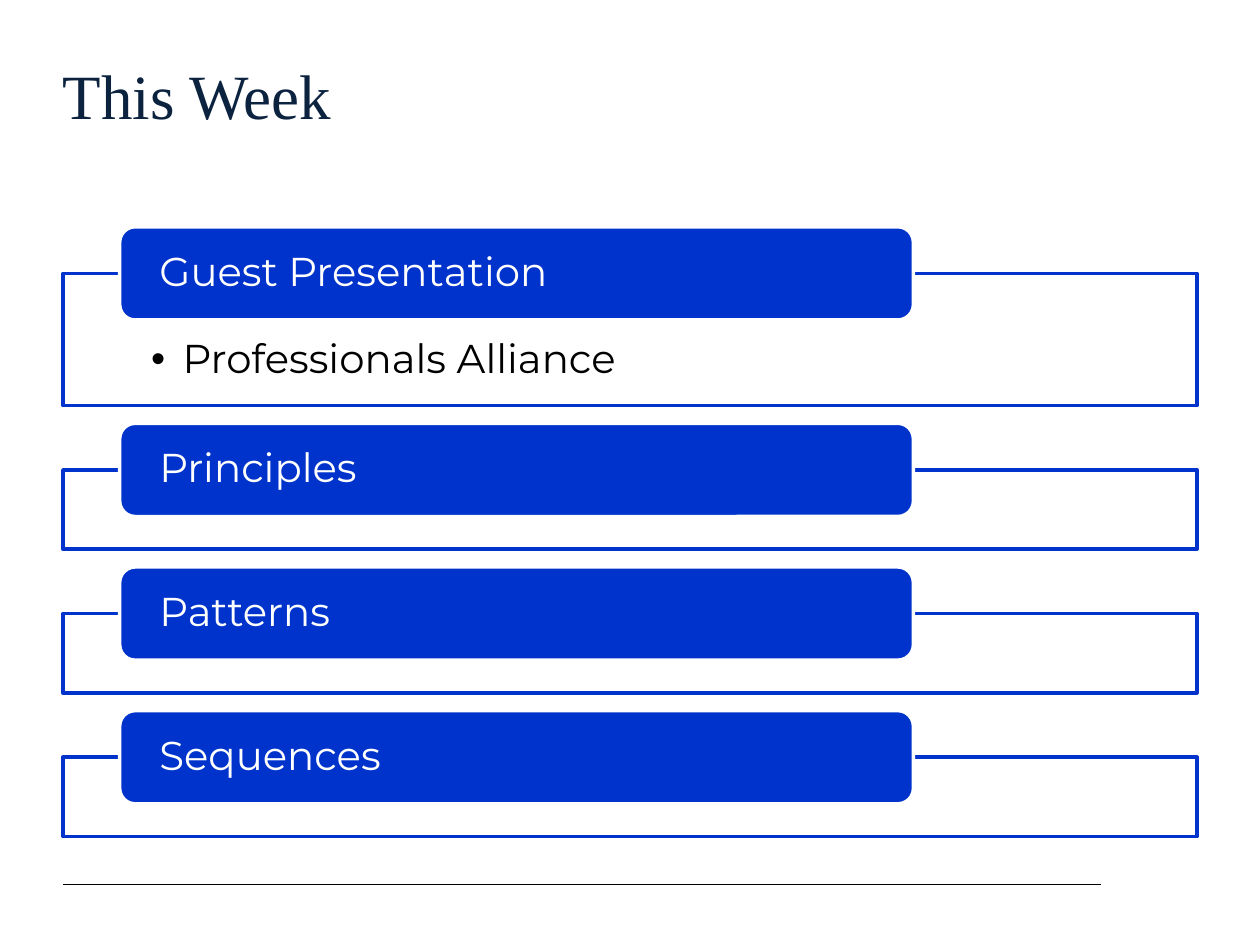
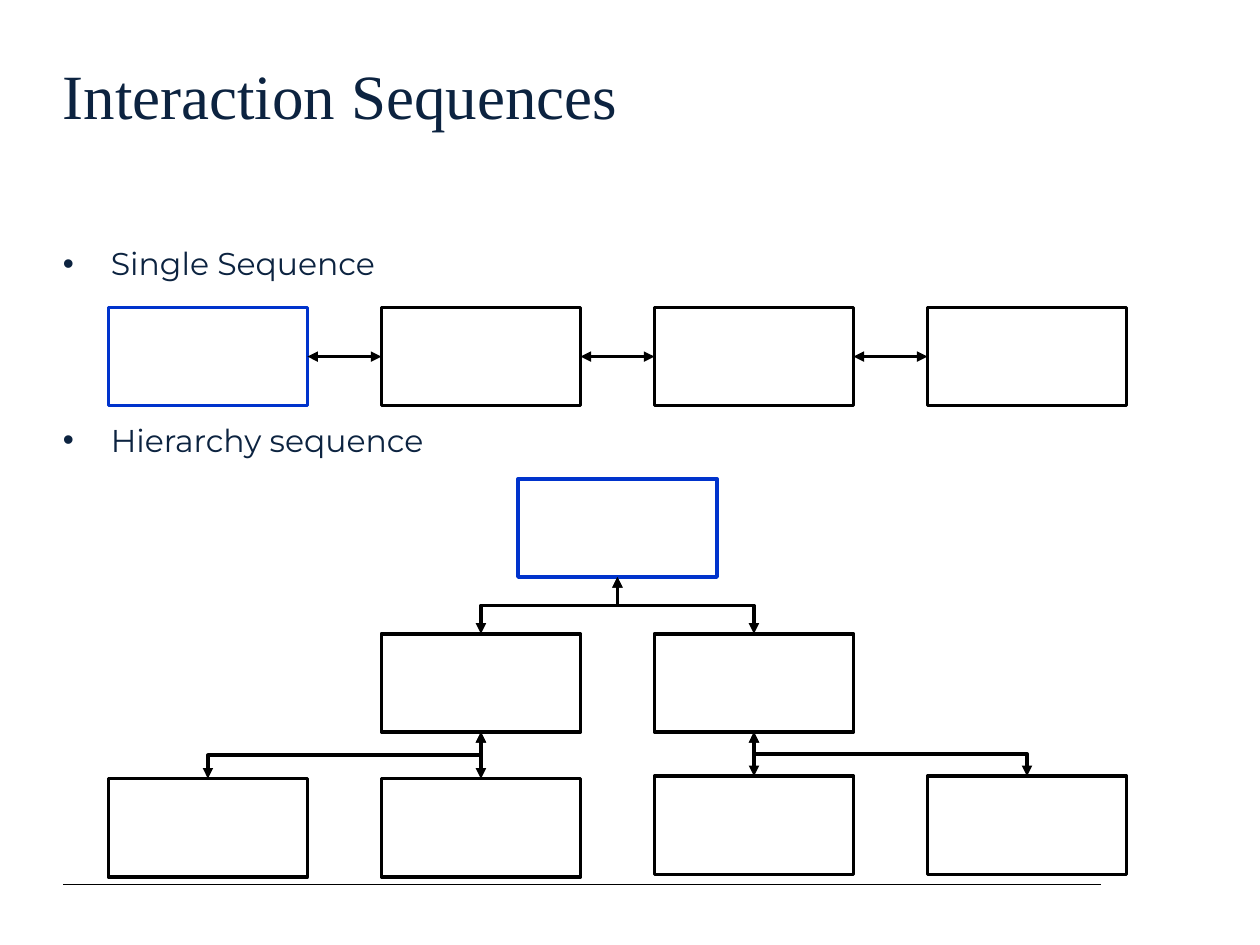
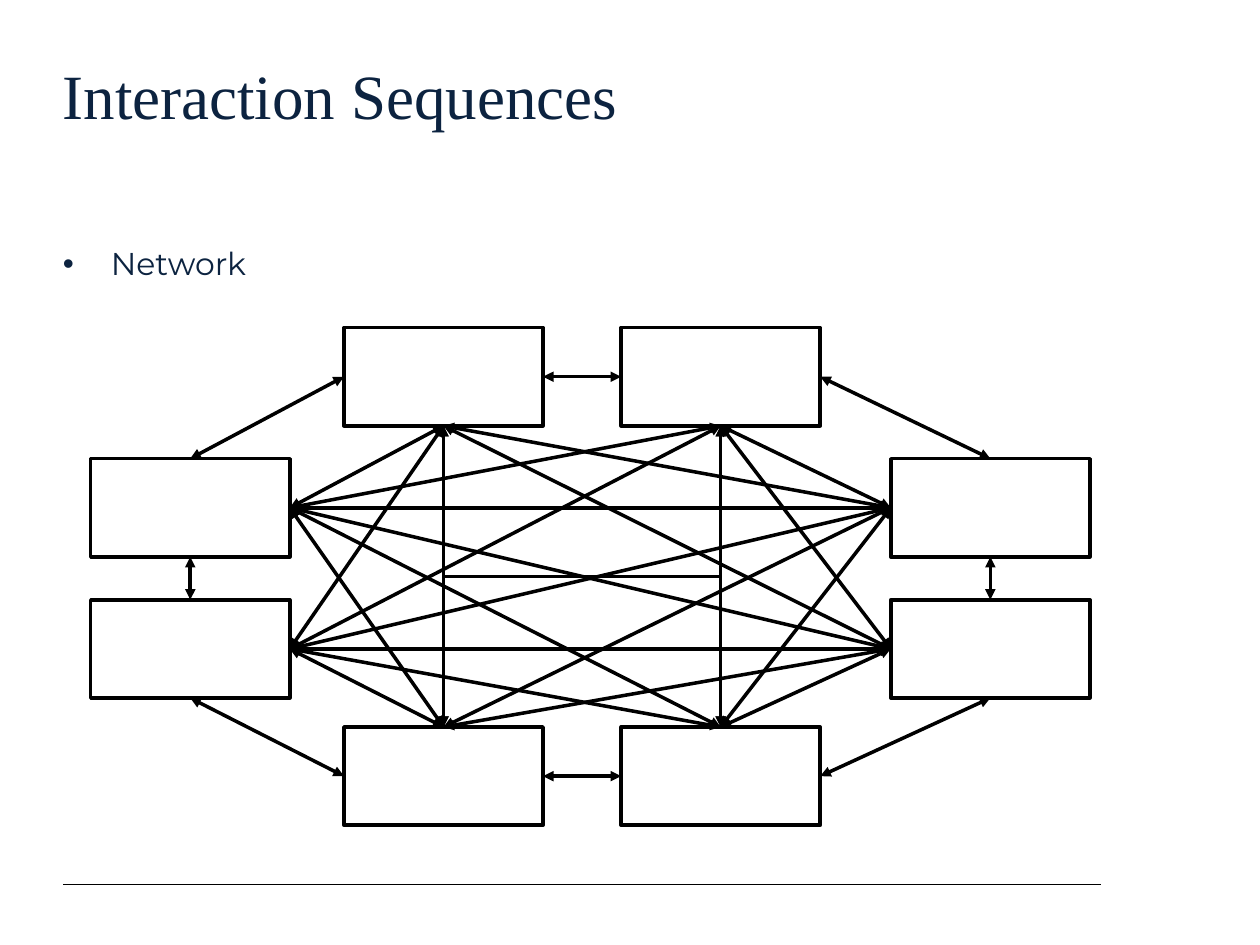
import itertools

import pptx
import pptx.dml.color
import pptx.enum.shapes
import pptx.enum.text
import pptx.oxml
import pptx.oxml.ns
import pptx.util

presentation = pptx.Presentation()
presentation.slide_width = pptx.util.Inches(10)
presentation.slide_height = pptx.util.Inches(7.5)
column = presentation.slide_width / 100
row = presentation.slide_height / 75

colors = {"navy": "0C2340", "blue": "0033CC", "black": "000000", "white": "FFFFFF"}
shape_kinds = pptx.enum.shapes.MSO_SHAPE
connector_kinds = pptx.enum.shapes.MSO_CONNECTOR
anchors = pptx.enum.text.MSO_ANCHOR
left_aligned = pptx.enum.text.PP_ALIGN.LEFT
qn = pptx.oxml.ns.qn
namespace = pptx.oxml.ns.nsdecls("a")
TOP, LEFT, BOTTOM, RIGHT = range(4)
sites = {TOP: (0.5, 0), LEFT: (0, 0.5), BOTTOM: (0.5, 1), RIGHT: (1, 0.5)}
box_width, box_height = 15.8, 7.8

styles = {
    "title": {
        "font": {"size": pptx.util.Pt(36), "name": "Times New Roman"},
        "color": "navy",
        "margins": (0, 0, 1, 0.5),
        "anchor": anchors.TOP,
    },
    "body": {
        "font": {"size": pptx.util.Pt(18), "name": "Montserrat"},
        "color": "navy",
        "margins": (0, 0, 1, 0.5),
        "anchor": anchors.TOP,
        "indent": 3.8,
    },
    "topic": {
        "font": {"size": pptx.util.Pt(23), "name": "Montserrat"},
        "color": "white",
        "margins": (2.8, 0, 2.8, 0),
        "anchor": anchors.MIDDLE,
        "line_spacing": 0.9,
    },
    "detail": {
        "font": {"size": pptx.util.Pt(23), "name": "Montserrat"},
        "color": "black",
        "margins": (7, 5.2, 7, 1.8),
        "anchor": anchors.TOP,
        "line_spacing": 0.9,
        "indent": 2.5,
    },
}


def add_box(slide, place, kind=None, fill="white", line="black", lines=(), style=None, gap=0):
    left, top, width, height = place
    area = [int(value) for value in (left * column, top * row, width * column, height * row)]
    if kind is None:
        shape = slide.shapes.add_textbox(*area)
    else:
        shape = slide.shapes.add_shape(kind, *area)
        shape.shadow.inherit = False
        shape.fill.solid()
        shape.fill.fore_color.rgb = pptx.dml.color.RGBColor.from_string(colors[fill])
        shape.line.color.rgb = pptx.dml.color.RGBColor.from_string(colors[line])
        shape.line.width = pptx.util.Pt(2)
    if not lines:
        return shape
    values = styles[style]
    frame = shape.text_frame
    frame.word_wrap = True
    frame.vertical_anchor = values["anchor"]
    for side, margin in zip(("left", "top", "right", "bottom"), values["margins"]):
        setattr(frame, f"margin_{side}", int(margin * column))
    for index, text in enumerate(lines):
        paragraph = frame.add_paragraph() if index else frame.paragraphs[0]
        paragraph.alignment = left_aligned
        paragraph.line_spacing = values.get("line_spacing", 1.0)
        paragraph.space_before = pptx.util.Pt(gap if index else 0)
        run = paragraph.add_run()
        run.text = text
        for name, value in values["font"].items():
            setattr(run.font, name, value)
        run.font.color.rgb = pptx.dml.color.RGBColor.from_string(colors[values["color"]])
        if "indent" in values:
            indent = int(values["indent"] * column)
            properties = paragraph._p.get_or_add_pPr()
            properties.set("marL", str(indent))
            properties.set("indent", str(-indent))
            for bullet in ('buFont {} typeface="Arial"', 'buChar {} char="•"'):
                properties.append(pptx.oxml.parse_xml(f"<a:{bullet.format(namespace)}/>"))
    return shape


def add_link(slide, first, first_site, second, second_site):
    (begin_x, begin_y), (end_x, end_y) = [
        (shape.left + shape.width * sites[site][0], shape.top + shape.height * sites[site][1])
        for shape, site in ((first, first_site), (second, second_site))
    ]
    run, drop = end_x - begin_x, end_y - begin_y
    bent = first_site == BOTTOM and second_site == TOP and first.left != second.left
    if bent:
        side = 1 if run > 0 else -1
        center_x, center_y = begin_x + run / 2, begin_y + drop / 2
        begin_x, end_x = center_x + side * drop / 2, center_x - side * drop / 2
        begin_y, end_y = center_y - abs(run) / 2, center_y + abs(run) / 2
    kind = connector_kinds.ELBOW if bent else connector_kinds.STRAIGHT
    connector = slide.shapes.add_connector(kind, *map(int, (begin_x, begin_y, end_x, end_y)))
    properties = connector._element.spPr
    if bent:
        degrees = 270 if side > 0 else 90
        properties.find(qn("a:xfrm")).set("rot", str(degrees * 60000))
    else:
        connector.begin_connect(first, first_site)
        connector.end_connect(second, second_site)
    connector.line.color.rgb = pptx.dml.color.RGBColor.from_string(colors["black"])
    connector.line.width = pptx.util.Pt(2)
    outline = properties.find(qn("a:ln"))
    for end in ("headEnd", "tailEnd"):
        outline.append(pptx.oxml.parse_xml(f'<a:{end} {namespace} type="triangle"/>'))
    properties.append(pptx.oxml.parse_xml(f"<a:effectLst {namespace}/>"))


slides = []
for title, bullets in (
    ("This Week", ()),
    ("Interaction Sequences", ("Single Sequence", "Hierarchy sequence")),
    ("Interaction Sequences", ("Network",)),
):
    slide = presentation.slides.add_slide(presentation.slide_layouts[6])
    rule_ends = (5 * column, 70.2 * row, 87.4 * column, 70.2 * row)
    rule = slide.shapes.add_connector(connector_kinds.STRAIGHT, *map(int, rule_ends))
    rule.line.color.rgb = pptx.dml.color.RGBColor.from_string(colors["black"])
    rule.line.width = pptx.util.Pt(0.75)
    rule._element.spPr.append(pptx.oxml.parse_xml(f"<a:effectLst {namespace}/>"))
    add_box(slide, (5, 4.5, 79.6, 9.3), lines=(title,), style="title")
    if bullets:
        add_box(slide, (5, 19.4, 79.6, 49.1), lines=bullets, style="body", gap=79)
    slides.append(slide)
agenda, sequences, network = slides

top = 21.7
for topic, details, height in (
    ("Guest Presentation", ("Professionals Alliance",), 10.5),
    ("Principles", (), 6.3),
    ("Patterns", (), 6.3),
    ("Sequences", (), 6.3),
):
    add_box(agenda, (5, top, 90, height), shape_kinds.RECTANGLE, "white", "blue", details, "detail")
    add_box(agenda, (9.5, top - 3.7, 63, 7.4), shape_kinds.ROUNDED_RECTANGLE,
            "blue", "white", (topic,), "topic")
    top += height + 5.1

nodes = {}
for name, position, top in (
    ("step 1", 0, 24.4), ("step 2", 1, 24.4), ("step 3", 2, 24.4), ("step 4", 3, 24.4),
    ("root", 1.5, 38),
    ("left branch", 1, 50.3), ("right branch", 2, 50.3),
    ("leaf 1", 0, 61.8), ("leaf 2", 1, 61.8), ("leaf 3", 2, 61.6), ("leaf 4", 3, 61.6),
):
    place = (8.6 + 21.67 * position, top, box_width, box_height)
    line = "blue" if name in ("step 1", "root") else "black"
    nodes[name] = add_box(sequences, place, shape_kinds.RECTANGLE, line=line)
for number in range(1, 4):
    add_link(sequences, nodes[f"step {number}"], RIGHT, nodes[f"step {number + 1}"], LEFT)
for parent, children in (
    ("root", ("left branch", "right branch")),
    ("left branch", ("leaf 1", "leaf 2")),
    ("right branch", ("leaf 3", "leaf 4")),
):
    for child in children:
        add_link(sequences, nodes[parent], BOTTOM, nodes[child], TOP)

ring = []
for left, top, inner_site in (
    (7.2, 36.4, RIGHT), (27.3, 26, BOTTOM), (49.3, 26, BOTTOM), (70.7, 36.4, LEFT),
    (70.7, 47.6, LEFT), (49.3, 57.7, TOP), (27.3, 57.7, TOP), (7.2, 47.6, RIGHT),
):
    shape = add_box(network, (left, top, box_width, box_height), shape_kinds.RECTANGLE)
    ring.append((shape, inner_site))
ring_sites = (
    (TOP, LEFT), (RIGHT, LEFT), (RIGHT, TOP), (BOTTOM, TOP),
    (BOTTOM, RIGHT), (LEFT, RIGHT), (LEFT, BOTTOM), (TOP, BOTTOM),
)
for index, (begin_site, end_site) in enumerate(ring_sites):
    add_link(network, ring[index][0], begin_site, ring[(index + 1) % len(ring)][0], end_site)
for (first, first_site), (second, second_site) in itertools.combinations(ring, 2):
    if first_site != second_site:
        add_link(network, first, first_site, second, second_site)

presentation.save("out.pptx")
